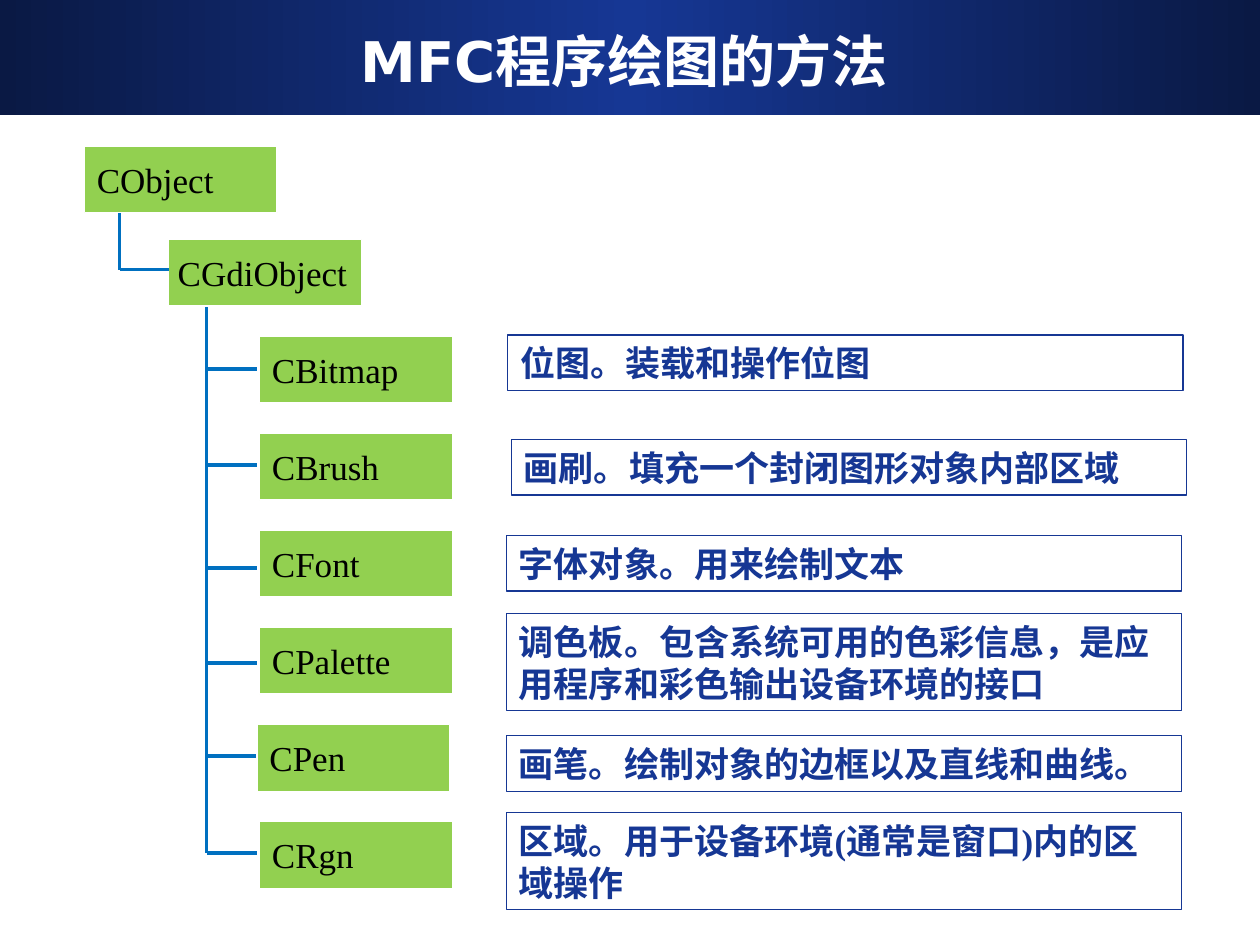
from copy import deepcopy
from dataclasses import dataclass

from lxml import etree
from pptx import Presentation
from pptx import util as u
from pptx.dml.color import RGBColor
from pptx.enum import shapes, text
from pptx.oxml import ns


@dataclass(frozen=True)
class Theme:
    """Colours, fonts, type sizes and the grid of 100 columns by 75 rows."""
    navy: str = "0A1944"
    blue: str = "163794"
    green: str = "92D050"
    wire: str = "0070C0"
    white: str = "FFFFFF"
    black: str = "000000"
    title_font: str = "DejaVu Sans"
    body_font: str = "Times New Roman"
    title_size: int = 32
    body_size: int = 20
    note_line: float = 0.75
    columns: int = 100
    rows: int = 75


THEME = Theme()
SLIDE_WIDTH, SLIDE_HEIGHT = u.Inches(10), u.Inches(7.5)

CLASSES = [
    ("CBitmap", 13.9, 17.7),
    ("CBrush", 13.9, 25.3),
    ("CFont", 13.9, 33.5),
    ("CPalette", 13.9, 41),
    ("CPen", 13.7, 48.4),
    ("CRgn", 13.9, 56.1),
]
NOTES = [
    ("位图。装载和操作位图", 0.1, 0, 4.4),
    ("画刷。填充一个封闭图形对象内部区域", 0.4, 8.3, 4.4),
    ("字体对象。用来绘制文本", 0, 15.9, 4.4),
    ("调色板。包含系统可用的色彩信息，是应用程序和彩色输出设备环境的接口", 0, 22.1, 7.7),
    ("画笔。绘制对象的边框以及直线和曲线。", 0, 31.8, 4.4),
    ("区域。用于设备环境(通常是窗口)内的区域操作", 0, 37.9, 7.7),
]


def across(columns):
    """Turn grid columns into a length."""
    return round(SLIDE_WIDTH * columns / THEME.columns)


def down(rows):
    """Turn grid rows into a length."""
    return round(SLIDE_HEIGHT * rows / THEME.rows)


def assign(target, values):
    """Set each attribute of the target from a dict."""
    for name, value in values.items():
        setattr(target, name, value)


def write(frame, wording, font, color, align=text.PP_ALIGN.LEFT, **layout):
    """Fill a text frame with one formatted paragraph."""
    assign(frame, {"vertical_anchor": text.MSO_ANCHOR.MIDDLE, **layout})
    paragraph = frame.paragraphs[0]
    paragraph.alignment = align
    run = paragraph.add_run()
    run.text = wording
    assign(run.font, font)
    run.font.color.rgb = RGBColor.from_string(color)


def add_panel(slide, left, top, width, height):
    """Add a rectangle without shadow, given in grid cells."""
    panel = slide.shapes.add_shape(
        shapes.MSO_SHAPE.RECTANGLE,
        across(left), down(top), across(width), down(height))
    panel.shadow.inherit = False
    return panel


def outline(line, color, points):
    """Colour a line and set its width."""
    line.color.rgb = RGBColor.from_string(color)
    line.width = u.Pt(points)


def add_wire(slide, x1, y1, x2, y2):
    """Add one hairline of the class tree."""
    wire = slide.shapes.add_connector(
        shapes.MSO_CONNECTOR.STRAIGHT, across(x1), down(y1), across(x2), down(y2))
    outline(wire.line, THEME.wire, 0)
    etree.SubElement(wire._element.spPr, ns.qn("a:effectLst"))


def add_header(slide, left, top, width, height):
    """Draw the gradient band and set the title on it."""
    band = add_panel(slide, left, top, width, height)
    band.line.fill.background()
    band.fill.gradient()
    band.fill.gradient_angle = 0
    stop_list = band._element.spPr.find(".//" + ns.qn("a:gsLst"))
    stop_list.append(deepcopy(stop_list[0]))
    shades = (THEME.navy, THEME.blue, THEME.navy)
    for index, (stop, shade) in enumerate(zip(band.fill.gradient_stops, shades)):
        stop.position = index / 2
        stop.color.rgb = RGBColor.from_string(shade)
    slide.shapes._spTree.insert(2, band._element)

    title = slide.shapes.title
    assign(title, {"left": across(left + 3.3), "top": down(top + 1.7),
                   "width": across(width - 7.5), "height": down(6.2)})
    write(title.text_frame, "MFC程序绘图的方法",
          {"name": THEME.title_font, "size": u.Pt(THEME.title_size), "bold": True},
          THEME.white, text.PP_ALIGN.CENTER, auto_size=text.MSO_AUTO_SIZE.NONE)


def add_class(slide, left, top, name, indent=1):
    """Draw one class box with its name."""
    panel = add_panel(slide, left, top, 15.3, 5.3)
    panel.fill.solid()
    panel.fill.fore_color.rgb = RGBColor.from_string(THEME.green)
    outline(panel.line, THEME.white, 0)
    write(panel.text_frame, name,
          {"name": THEME.body_font, "size": u.Pt(THEME.body_size)}, THEME.black,
          word_wrap=False, margin_left=across(indent),
          margin_right=0, margin_top=0, margin_bottom=0)


def add_tree(slide, left, top, width, height):
    """Draw the class hierarchy with its wires."""
    add_class(slide, left, top, "CObject")
    add_class(slide, left + 6.7, top + 7.4, "CGdiObject", 0.7)
    root, trunk = left + 2.8, left + 9.7
    add_wire(slide, root, top + 5.3, root, top + 9.8)
    add_wire(slide, root, top + 9.8, left + 6.7, top + 9.8)
    add_wire(slide, trunk, top + 12.8, trunk, top + CLASSES[-1][2])
    pitch = (height - 5.3 - 15.1) / (len(CLASSES) - 1)
    for row, (name, indent, branch) in enumerate(CLASSES):
        add_wire(slide, trunk, top + branch, left + 13.7, top + branch)
        add_class(slide, left + indent, top + 15.1 + row * pitch, name)


def add_notes(slide, left, top, width):
    """Draw the outlined explanation of each class."""
    for wording, shift, offset, height in NOTES:
        note = add_panel(slide, left + shift, top + offset, width, height)
        note.fill.background()
        outline(note.line, THEME.blue, THEME.note_line)
        write(note.text_frame, wording,
              {"name": THEME.body_font, "size": u.Pt(THEME.body_size), "bold": True},
              THEME.blue, word_wrap=True)


def main():
    """Build and save the slide."""
    deck = Presentation()
    assign(deck, {"slide_width": SLIDE_WIDTH, "slide_height": SLIDE_HEIGHT})
    slide = deck.slides.add_slide(deck.slide_layouts[5])
    add_header(slide, 0, 0, 100, 9.1)
    add_tree(slide, 6.7, 11.6, 29.2, 58.9)
    add_notes(slide, 40.2, 26.6, 53.6)
    deck.save("out.pptx")


if __name__ == "__main__":
    main()
